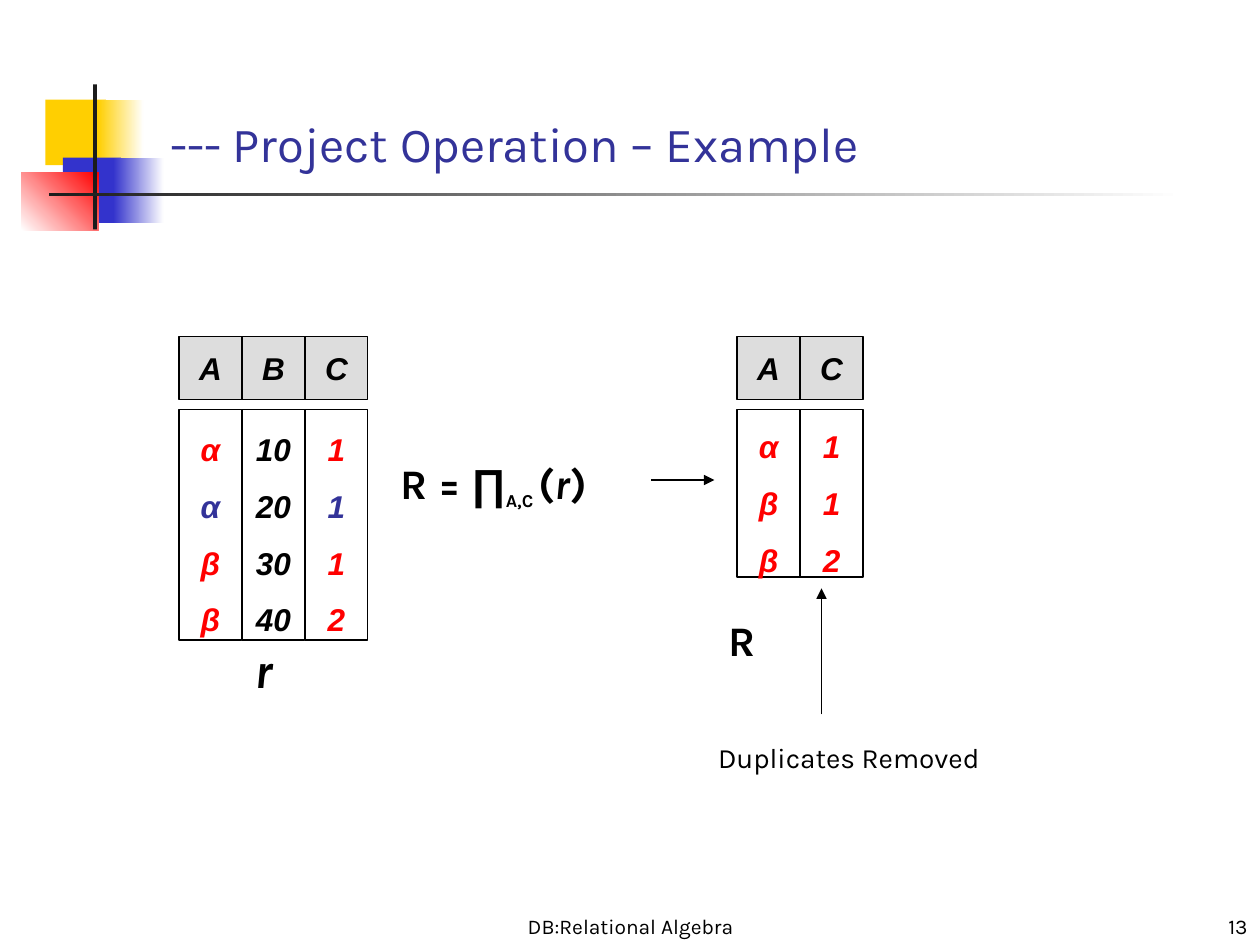
from dataclasses import dataclass

from lxml import etree
from pptx import Presentation
from pptx.dml.color import RGBColor
from pptx.enum import shapes, text
from pptx.oxml import ns
from pptx.util import Inches, Pt


@dataclass(frozen=True)
class Theme:
    """Colours, fonts and type sizes of the slide."""
    ink: str = "000000"
    paper: str = "FFFFFF"
    title: str = "333399"
    kept: str = "FF0000"
    dropped: str = "333399"
    header: str = "DDDDDD"
    yellow: str = "FFCF01"
    blue: str = "3333CC"
    bar: str = "1C1C1C"
    font: str = "Karla"
    cell_font: str = "Arial"
    title_size: int = 28
    formula_size: int = 24
    cell_size: int = 18
    note_size: int = 16
    footer_size: int = 12
    line_width: float = 0.75


THEME = Theme()
ALIGN = text.PP_ALIGN
ANCHOR = text.MSO_ANCHOR


def write_text(frame, paragraphs, size, font=THEME.font, color=THEME.ink, bold=False,
               italic=False, align=ALIGN.LEFT, anchor=ANCHOR.TOP, wrap=True,
               grow=False, spacing=None):
    """Fill a frame with paragraphs of (text, format overrides) runs."""
    frame.word_wrap = wrap
    frame.auto_size = text.MSO_AUTO_SIZE.SHAPE_TO_FIT_TEXT if grow else text.MSO_AUTO_SIZE.NONE
    frame.vertical_anchor = anchor
    base = dict(size=size, font=font, color=color, bold=bold, italic=italic, baseline=0)
    for index, runs in enumerate(paragraphs):
        paragraph = frame.add_paragraph() if index else frame.paragraphs[0]
        paragraph.alignment = align
        if spacing:
            paragraph.line_spacing = spacing
        for content, overrides in runs:
            style = {**base, **overrides}
            run = paragraph.add_run()
            run.text = content
            run.font.size = Pt(style["size"])
            run.font.name = style["font"]
            run.font.bold = style["bold"]
            run.font.italic = style["italic"]
            run.font.color.rgb = RGBColor.from_string(style["color"])
            if style["baseline"]:
                run._r.get_or_add_rPr().set("baseline", str(style["baseline"] * 1000))


def add_label(slide, box, runs, size, **style):
    """Place a one-paragraph text box."""
    label = slide.shapes.add_textbox(*map(Inches, box))
    write_text(label.text_frame, [runs], size, **style)


def add_block(slide, box, color, end_color=None, angle=0, outlined=False):
    """Draw a rectangle with a solid or two-colour gradient fill."""
    block = slide.shapes.add_shape(shapes.MSO_SHAPE.RECTANGLE, *map(Inches, box))
    block.shadow.inherit = False
    if end_color:
        block.fill.gradient()
        block.fill.gradient_angle = angle
        for stop, position, stop_color in zip(block.fill.gradient_stops, (0, 1), (color, end_color)):
            stop.position = position
            stop.color.rgb = RGBColor.from_string(stop_color)
    else:
        block.fill.solid()
        block.fill.fore_color.rgb = RGBColor.from_string(color)
    if outlined:
        block.line.color.rgb = RGBColor.from_string(THEME.ink)
        block.line.width = Pt(THEME.line_width)
    else:
        block.line.fill.background()
    return block


def add_arrow(slide, start, end):
    """Draw a thin straight arrow."""
    arrow = slide.shapes.add_connector(
        shapes.MSO_CONNECTOR.STRAIGHT, *map(Inches, (*start, *end)))
    arrow.line.color.rgb = RGBColor.from_string(THEME.ink)
    arrow.line.width = Pt(THEME.line_width)
    etree.SubElement(arrow.line._get_or_add_ln(), ns.qn("a:tailEnd"), type="triangle")
    etree.SubElement(arrow._element.spPr, ns.qn("a:effectLst"))


def add_ornament(slide, left, top):
    """Draw the coloured squares and crossing bars beside the title."""
    for x, y, width, height, color, end_color, angle in (
        (0.19, 0.12, 0.48, 0.52, THEME.yellow, None, 0),
        (0.61, 0.12, 0.36, 0.52, THEME.yellow, THEME.paper, 0),
        (0.33, 0.58, 0.46, 0.52, THEME.blue, None, 0),
        (0.73, 0.58, 0.4, 0.52, THEME.blue, THEME.paper, 0),
        (0, 0.7, 0.61, 0.46, THEME.paper, THEME.kept, 45),
        (0.57, 0, 0.03, 1.15, THEME.bar, None, 0),
        (0.22, 0.86, 9, 0.03, THEME.bar, THEME.paper, 0),
    ):
        add_block(slide, (left + x, top + y, width, height), color, end_color, angle)


def add_title(slide, box, wording):
    """Move and format the title placeholder."""
    title = slide.shapes.title
    title.left, title.top, title.width, title.height = map(Inches, box)
    write_text(title.text_frame, [[(wording, {})]], THEME.title_size,
               color=THEME.title, anchor=ANCHOR.BOTTOM)


def add_relation(slide, box, columns):
    """Draw a relation as header cells above column cells."""
    left, top, width, height = box
    column_width, header_height, body_offset = width / len(columns), 0.5, 0.58
    style = dict(size=THEME.cell_size, font=THEME.cell_font, bold=True, italic=True,
                 align=ALIGN.CENTER, anchor=ANCHOR.MIDDLE, wrap=False)
    bodies = []
    for index, (name, values) in enumerate(columns):
        x = left + index * column_width
        header = add_block(slide, (x, top, column_width, header_height),
                           THEME.header, outlined=True)
        write_text(header.text_frame, [[(name, {})]], **style)
        bodies.append((x, values))
    for x, values in bodies:
        body = add_block(slide, (x, top + body_offset, column_width, height - body_offset),
                         THEME.paper, outlined=True)
        rows = [[(value, {"color": color})] for value, color in values]
        write_text(body.text_frame, rows, spacing=1.5, **style)


def add_formula(slide, box):
    """Write the projection expression."""
    add_label(slide, box, [
        ("R = ", {}),
        ("∏", {"font": THEME.cell_font}),
        ("A,C ", {"size": THEME.cell_size, "baseline": -25}),
        ("(", {}),
        ("r", {"italic": True}),
        (")", {}),
    ], THEME.formula_size, bold=True)


def add_footer(slide, top, height):
    """Write the course name and the slide number."""
    for left, width, wording, align in (
        (3.42, 3.17, "DB:Relational Algebra", ALIGN.CENTER),
        (7.92, 2.08, "13", ALIGN.RIGHT),
    ):
        add_label(slide, (left, top, width, height), [(wording, {})], THEME.footer_size,
                  align=align, anchor=ANCHOR.BOTTOM)


def main():
    """Build and save the slide."""
    deck = Presentation()
    deck.slide_width, deck.slide_height = Inches(10), Inches(7.5)
    slide = deck.slides.add_slide(deck.slide_layouts[5])

    kept, dropped, ink = THEME.kept, THEME.dropped, THEME.ink
    source_colors = (kept, dropped, kept, kept)
    source = [
        ("A", list(zip("ααββ", source_colors))),
        ("B", [(value, ink) for value in ("10", "20", "30", "40")]),
        ("C", list(zip("1112", source_colors))),
    ]
    result = [(name, [(value, kept) for value in values])
              for name, values in (("A", "αββ"), ("C", "112"))]

    add_ornament(slide, 0.17, 0.67)
    add_footer(slide, 7.08, 0.42)
    add_title(slide, (1.25, 0.75, 8.52, 0.67), "--- Project Operation – Example")
    add_relation(slide, (1.42, 2.67, 1.5, 2.41), source)
    add_relation(slide, (5.85, 2.67, 1, 1.91), result)
    add_formula(slide, (3.08, 3.58, 2, 0.64))
    add_label(slide, (1.92, 5.03, 0.36, 0.57), [("r", {})], THEME.title_size,
              bold=True, italic=True, wrap=False, grow=True)
    add_arrow(slide, (5.17, 3.81), (5.67, 3.81))
    add_label(slide, (5.6, 5.83, 2.32, 0.37), [("Duplicates Removed", {})],
              THEME.note_size, wrap=False, grow=True)
    add_arrow(slide, (6.52, 5.67), (6.52, 4.67))
    add_label(slide, (5.68, 4.83, 0.43, 0.5), [("R", {})], THEME.formula_size,
              bold=True, grow=True)
    deck.save("out.pptx")


if __name__ == "__main__":
    main()
